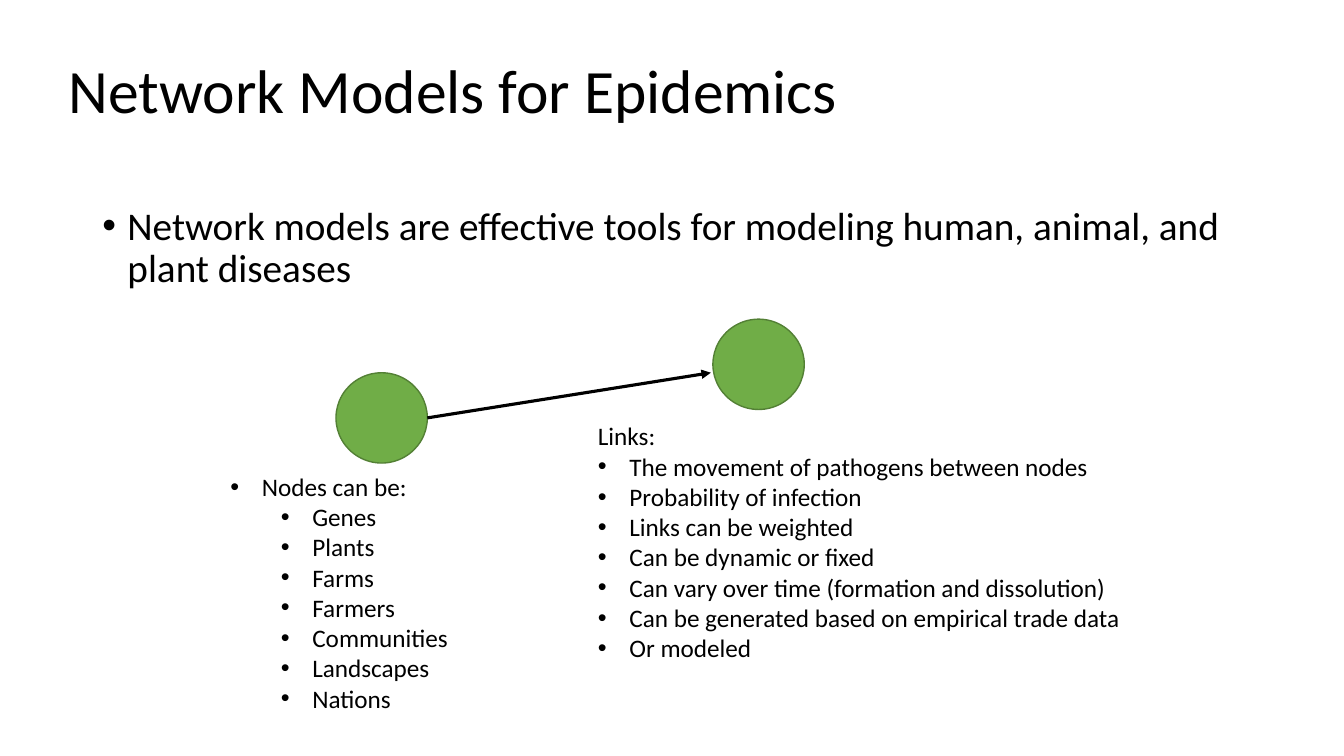
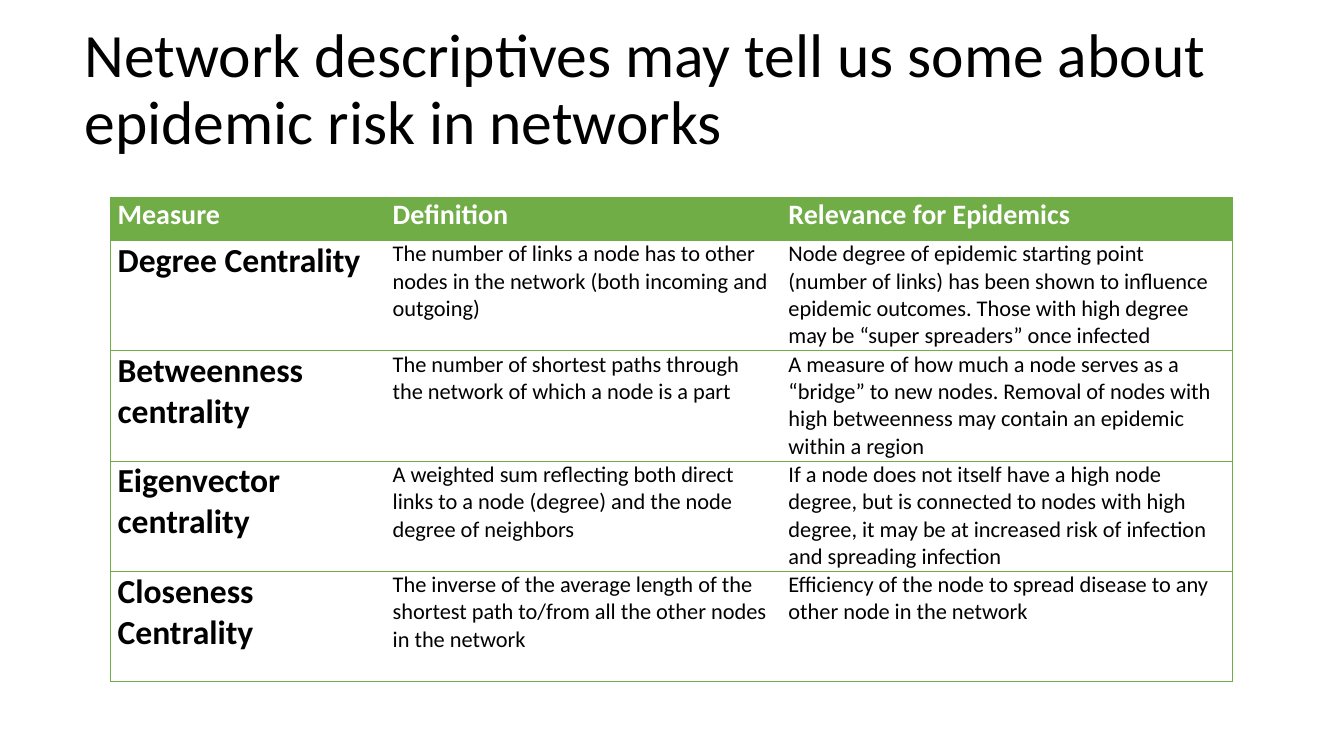
from dataclasses import dataclass

from lxml.etree import SubElement
from pptx import Presentation
from pptx.dml.color import RGBColor
from pptx.enum.shapes import MSO_CONNECTOR, MSO_SHAPE
from pptx.enum.text import MSO_ANCHOR, MSO_AUTO_SIZE
from pptx.oxml.ns import qn
from pptx.shapes.autoshape import Shape
from pptx.slide import Slide
from pptx.table import _Cell
from pptx.text.text import _Paragraph
from pptx.util import Emu, Pt

EMU_PER_PX = 9525
COLORS = {
    "text": "000000",
    "white": "FFFFFF",
    "green": "70AD47",
    "dark_green": "538035",
}
FONT_NAME = "Calibri"
BULLET_FONT = "Arial"
TITLE_SIZE = (1104, 139)
NODE_SIZE = (87, 86)
BORDER_WIDTH = Pt(0.5)

TITLE = {"size": Pt(44)}
BODY = {"size": Pt(28)}
LIST = {"size": Pt(18)}
HEADER = {"size": Pt(20), "bold": True, "color": "white"}
MEASURE = {"size": Pt(24), "bold": True}
DETAIL = {"size": Pt(16), "bold": False}


def px(length: int) -> Emu:
    return Emu(length * EMU_PER_PX)


def rgb(name: str) -> RGBColor:
    return RGBColor.from_string(COLORS[name])


@dataclass(frozen=True)
class Box:
    left: int
    top: int
    width: int
    height: int

    def emu(self) -> tuple[Emu, ...]:
        return tuple(map(px, (self.left, self.top, self.width, self.height)))


@dataclass(frozen=True)
class Line:
    """A paragraph; indent is the left edge of its text, hanging its bullet's room."""
    text: str
    indent: int = 0
    hanging: int = 0


@dataclass(frozen=True)
class Measure:
    name: str
    definition: str
    relevance: str


NODES = [Box(320, 355, *NODE_SIZE), Box(679, 304, *NODE_SIZE)]
ARROW_END = (677, 355)

NODE_LINES = [Line("Nodes can be:", 30, 30)] + [
    Line(text, 78, 30)
    for text in ("Genes", "Plants", "Farms", "Farmers", "Communities",
                 "Landscapes", "Nations")
]
LINK_LINES = [Line("Links:")] + [
    Line(text, 30, 30)
    for text in (
        "The movement of pathogens between nodes",
        "Probability of infection",
        "Links can be weighted",
        "Can be dynamic or fixed",
        "Can vary over time (formation and dissolution)",
        "Can be generated based on empirical trade data",
        "Or modeled",
    )
]

COLUMN_WIDTHS = (262, 377, 430)
HEADER_HEIGHT, ROW_HEIGHT = 41, 105
MEASURES = [
    Measure("Measure", "Definition", "Relevance for Epidemics"),
    Measure(
        "Degree Centrality",
        "The number of links a node has to other nodes in the network "
        "(both incoming and outgoing)",
        "Node degree of epidemic starting point (number of links) has been shown "
        "to influence epidemic outcomes. Those with high degree may be "
        "“super spreaders” once infected",
    ),
    Measure(
        "Betweenness centrality",
        "The number of shortest paths through the network of which a node is a part",
        "A measure of how much a node serves as a “bridge” to new nodes. Removal of "
        "nodes with high betweenness may contain an epidemic within a region",
    ),
    Measure(
        "Eigenvector centrality",
        "A weighted sum reflecting both direct links to a node (degree) and the "
        "node degree of neighbors",
        "If a node does not itself have a high node degree, but is connected to "
        "nodes with high degree, it may be at increased risk of infection and "
        "spreading infection",
    ),
    Measure(
        "Closeness Centrality",
        "The inverse of the average length of the shortest path to/from all the "
        "other nodes in the network",
        "Efficiency of the node to spread disease to any other node in the network",
    ),
]


def write(paragraph: _Paragraph, text: str, style: dict) -> None:
    run = paragraph.add_run()
    run.text = text
    values = {"name": FONT_NAME, "color": "text"} | style
    run.font.color.rgb = rgb(values.pop("color"))
    for attribute, value in values.items():
        setattr(run.font, attribute, value)


def add_bullet(paragraph: _Paragraph, line: Line) -> None:
    properties = paragraph._p.get_or_add_pPr()
    properties.set("marL", str(px(line.indent)))
    properties.set("indent", str(px(-line.hanging)))
    SubElement(properties, qn("a:buFont"), typeface=BULLET_FONT)
    SubElement(properties, qn("a:buChar"), char="•")


def add_text(slide: Slide, box: Box, lines: list[Line], style: dict,
             spacing: float = 1.0) -> Shape:
    shape = slide.shapes.add_textbox(*box.emu())
    frame = shape.text_frame
    frame.word_wrap = True
    for index, line in enumerate(lines):
        paragraph = frame.add_paragraph() if index else frame.paragraphs[0]
        if line.hanging:
            add_bullet(paragraph, line)
        paragraph.line_spacing = spacing
        write(paragraph, line.text, style)
    return shape


def add_title(slide: Slide, left: int, top: int, text: str) -> None:
    box = Box(left, top, *TITLE_SIZE)
    title = add_text(slide, box, [Line(text)], TITLE, spacing=0.9)
    title.text_frame.vertical_anchor = MSO_ANCHOR.MIDDLE


def add_list(slide: Slide, box: Box, lines: list[Line]) -> None:
    shape = add_text(slide, box, lines, LIST)
    shape.text_frame.auto_size = MSO_AUTO_SIZE.SHAPE_TO_FIT_TEXT


def add_node(slide: Slide, box: Box) -> None:
    node = slide.shapes.add_shape(MSO_SHAPE.OVAL, *box.emu())
    node.shadow.inherit = False
    node.fill.solid()
    node.fill.fore_color.rgb = rgb("green")
    node.line.color.rgb = rgb("dark_green")
    node.line.width = Pt(1)


def add_arrow(slide: Slide, start: tuple[int, int], end: tuple[int, int]) -> None:
    arrow = slide.shapes.add_connector(
        MSO_CONNECTOR.STRAIGHT, *map(px, start + end))
    arrow.line.color.rgb = rgb("text")
    arrow.line.width = Pt(2.25)
    SubElement(arrow.line._get_or_add_ln(), qn("a:tailEnd"), type="triangle")
    SubElement(arrow._element.spPr, qn("a:effectLst"))


def set_borders(cell: _Cell, visible: dict[str, bool]) -> None:
    properties = cell._tc.get_or_add_tcPr()
    for side, shown in visible.items():
        border = SubElement(properties, qn(f"a:ln{side}"), w=str(BORDER_WIDTH))
        if shown:
            fill = SubElement(border, qn("a:solidFill"))
            SubElement(fill, qn("a:srgbClr"), val=COLORS["green"])
        else:
            SubElement(border, qn("a:noFill"))


def add_measure_table(slide: Slide, left: int, top: int) -> None:
    heights = [HEADER_HEIGHT] + [ROW_HEIGHT] * (len(MEASURES) - 1)
    box = Box(left, top, sum(COLUMN_WIDTHS), sum(heights))
    last_column = len(COLUMN_WIDTHS) - 1
    table = slide.shapes.add_table(
        len(heights), len(COLUMN_WIDTHS), *box.emu()).table
    table.horz_banding = False
    for column, width in zip(table.columns, COLUMN_WIDTHS):
        column.width = px(width)

    margins = {"margin_left": px(7), "margin_right": px(7),
               "margin_top": 0, "margin_bottom": 0}
    for row_index, (measure, height) in enumerate(zip(MEASURES, heights)):
        table.rows[row_index].height = px(height)
        texts = (measure.name, measure.definition, measure.relevance)
        styles = (MEASURE, DETAIL, DETAIL) if row_index else (HEADER,) * 3
        for column_index, (text, style) in enumerate(zip(texts, styles)):
            cell = table.cell(row_index, column_index)
            for attribute, value in margins.items():
                setattr(cell, attribute, value)
            set_borders(cell, {"L": column_index == 0,
                               "R": column_index == last_column,
                               "T": True, "B": True})
            cell.fill.solid()
            cell.fill.fore_color.rgb = rgb("white" if row_index else "green")
            write(cell.text_frame.paragraphs[0], text, style)


def build_models_slide(slide: Slide) -> None:
    add_title(slide, 56, 20, "Network Models for Epidemics")
    statement = Line("Network models are effective tools for modeling human, "
                     "animal, and plant diseases", 24, 24)
    add_text(slide, Box(88, 192, 1104, 457), [statement], BODY, spacing=0.9)
    for node in NODES:
        add_node(slide, node)
    source = NODES[0]
    arrow_start = (source.left + source.width, source.top + source.height // 2)
    add_arrow(slide, arrow_start, ARROW_END)
    add_list(slide, Box(210, 444, 307, 242), NODE_LINES)
    add_list(slide, Box(560, 396, 684, 272), LINK_LINES)


def build_measures_slide(slide: Slide) -> None:
    add_title(slide, 71, 17, "Network descriptives may tell us some about "
                             "epidemic risk in networks")
    add_measure_table(slide, 105, 188)


def main() -> None:
    presentation = Presentation()
    presentation.slide_width = px(1280)
    presentation.slide_height = px(720)
    blank_layout = presentation.slide_layouts[6]
    for build in (build_models_slide, build_measures_slide):
        build(presentation.slides.add_slide(blank_layout))
    presentation.save("out.pptx")


if __name__ == "__main__":
    main()
